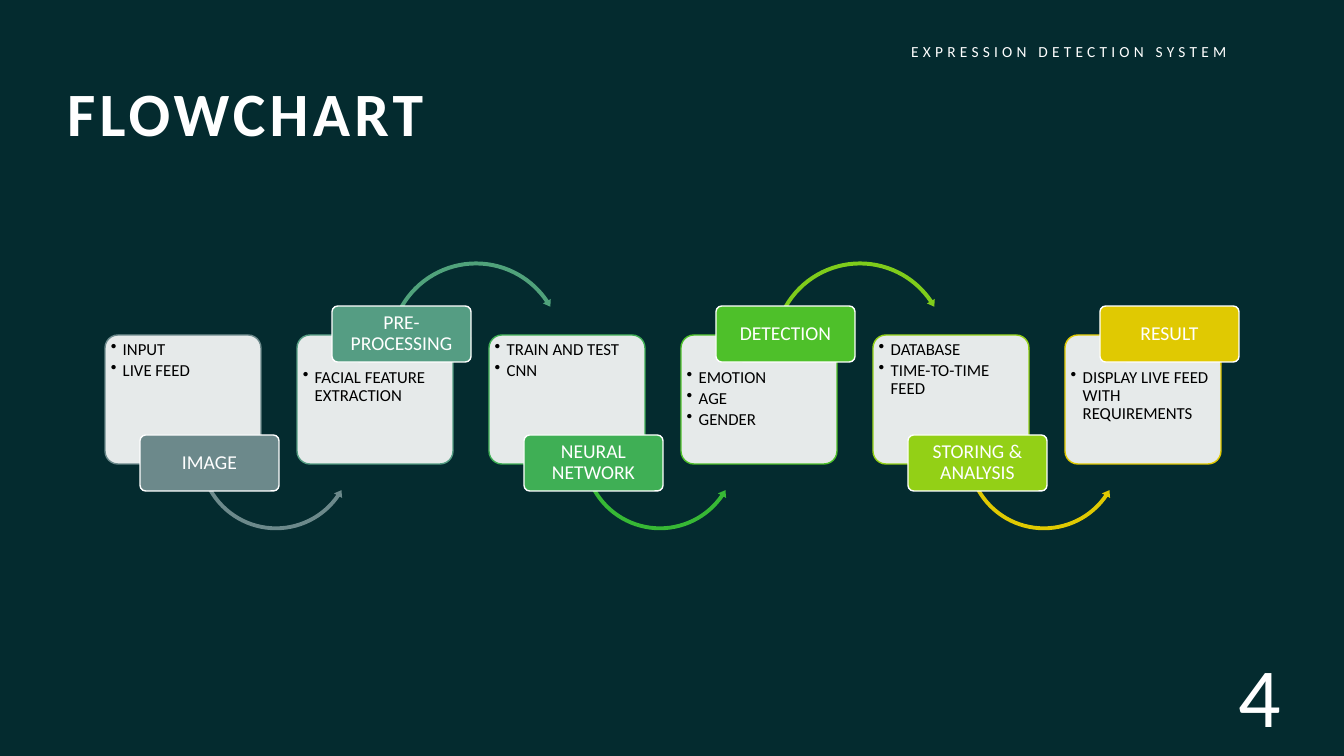
from lxml import etree
from pptx import Presentation, util as u
from pptx.dml.color import RGBColor
from pptx.enum import shapes, text
from pptx.oxml.ns import qn

PX = 12192000 / 1344
FONT = "Calibri"
COLORS = {
    "bg": "042B2F", "white": "FFFFFF", "black": "000000",
    "slate": "6C898B", "teal": "559D83", "sea": "50A27B",
    "emerald": "3FAF55", "leaf": "37B835", "green": "4EC02A",
    "grass": "7FCC1B", "lime": "93D016", "gold": "E0C902",
}
STEPS = [
    ("IMAGE", ["INPUT", "LIVE FEED"], "slate", "slate"),
    ("PRE-PROCESSING", ["FACIAL FEATURE EXTRACTION"], "teal", "sea"),
    ("NEURAL NETWORK", ["TRAIN AND TEST", "CNN"], "emerald", "leaf"),
    ("DETECTION", ["EMOTION", "AGE", "GENDER"], "green", "grass"),
    ("STORING & ANALYSIS", ["DATABASE", "TIME-TO-TIME FEED"], "lime", "gold"),
    ("RESULT", ["DISPLAY LIVE FEED WITH REQUIREMENTS"], "gold", None),
]
FIRST_X, PITCH = 105, 192
LOW_ARC = [0.024, 2.96, 20.715, 90.245, 0.029]
HIGH_ARC = [0.022, 2.617, 195.628, 125.755, 0.025]


def px(n):
    return u.Emu(round(n * PX))


def rgb(name):
    return RGBColor.from_string(COLORS[name])


def add_bullet(p, indent):
    pPr = p._p.get_or_add_pPr()
    pPr.set("marL", str(px(indent)))
    pPr.set("indent", str(-px(indent)))
    etree.SubElement(pPr, qn("a:buChar")).set("char", "•")


def write(tf, lines, size, color="white", align=text.PP_ALIGN.CENTER,
          anchor=text.MSO_ANCHOR.MIDDLE, bold=False, tracking=0,
          leading=None, after=0, bullet=False, insets=None):
    tf.word_wrap = True
    tf.auto_size = text.MSO_AUTO_SIZE.NONE
    tf.vertical_anchor = anchor
    if insets:
        tf.margin_left, tf.margin_top, tf.margin_right, tf.margin_bottom = map(px, insets)
    for i, line in enumerate(lines):
        p = tf.add_paragraph() if i else tf.paragraphs[0]
        if bullet:
            add_bullet(p, 12)
        p.alignment = align
        p.line_spacing = leading
        p.space_after = u.Pt(after)
        r = p.add_run()
        r.text = line
        r.font.name, r.font.size, r.font.bold = FONT, u.Pt(size), bold
        r.font.color.rgb = rgb(color)
        if tracking:
            r.font._element.set("spc", str(tracking * 100))


def add_text(s, box, line, **fmt):
    write(s.shapes.add_textbox(*map(px, box)).text_frame, [line], **fmt)


def add_preset(s, kind, box, adjust, fill, line=None):
    sp = s.shapes.add_shape(kind, *map(px, box))
    sp.shadow.inherit = False
    for i, value in enumerate(adjust):
        sp.adjustments[i] = value
    sp.fill.solid()
    sp.fill.fore_color.rgb = rgb(fill)
    if line:
        sp.line.color.rgb = rgb(line)
        sp.line.width = u.Pt(1)
    else:
        sp.line.fill.background()
    return sp


def add_card(s, x, items, color, high):
    sp = add_preset(s, shapes.MSO_SHAPE.ROUNDED_RECTANGLE, (x, 335, 156, 129),
                    [0.1], "white", color)
    clr = sp._element.spPr.find(qn("a:solidFill")).find(qn("a:srgbClr"))
    etree.SubElement(clr, qn("a:alpha")).set("val", "90000")
    write(sp.text_frame, items, size=12, color="black", align=text.PP_ALIGN.LEFT,
          anchor=text.MSO_ANCHOR.TOP, leading=0.9, after=2, bullet=True,
          insets=(2, 30 if high else 2, 2, 2))


def add_arrow(s, x, color, high):
    if high:
        add_preset(s, shapes.MSO_SHAPE.CIRCULAR_ARROW, (x + 89, 259, 180, 180),
                   HIGH_ARC, color)
    else:
        add_preset(s, shapes.MSO_SHAPE.LEFT_CIRCULAR_ARROW, (x + 91, 373, 160, 160),
                   LOW_ARC, color)


def add_label(s, x, name, color, high):
    sp = add_preset(s, shapes.MSO_SHAPE.ROUNDED_RECTANGLE,
                    (x + 35, 306 if high else 435, 139, 56), [0.1], color, "white")
    write(sp.text_frame, [name], size=14, leading=0.9, insets=(3, 2, 3, 2))


def add_title(s, line):
    sp = s.shapes.title
    sp.left, sp.top, sp.width, sp.height = map(px, (57, 78, 711, 138))
    write(sp.text_frame, [line], size=44, align=text.PP_ALIGN.LEFT,
          anchor=text.MSO_ANCHOR.TOP, bold=True, tracking=3, leading=0.9)


def main():
    prs = Presentation()
    prs.slide_width, prs.slide_height = px(1344), px(756)
    s = prs.slides.add_slide(prs.slide_layouts[5])
    s.background.fill.solid()
    s.background.fill.fore_color.rgb = rgb("bg")
    add_title(s, "FLOWCHART")
    add_text(s, (835, 0, 468, 103), "EXPRESSION DETECTION SYSTEM", size=11, tracking=3)
    add_text(s, (1175, 632, 169, 124), "4", size=60)
    for i, (name, items, color, arrow) in enumerate(STEPS):
        x, high = FIRST_X + i * PITCH, i % 2 == 1
        add_card(s, x, items, color, high)
        if arrow:
            add_arrow(s, x, arrow, high)
        add_label(s, x, name, color, high)
    prs.save("out.pptx")


if __name__ == "__main__":
    main()
